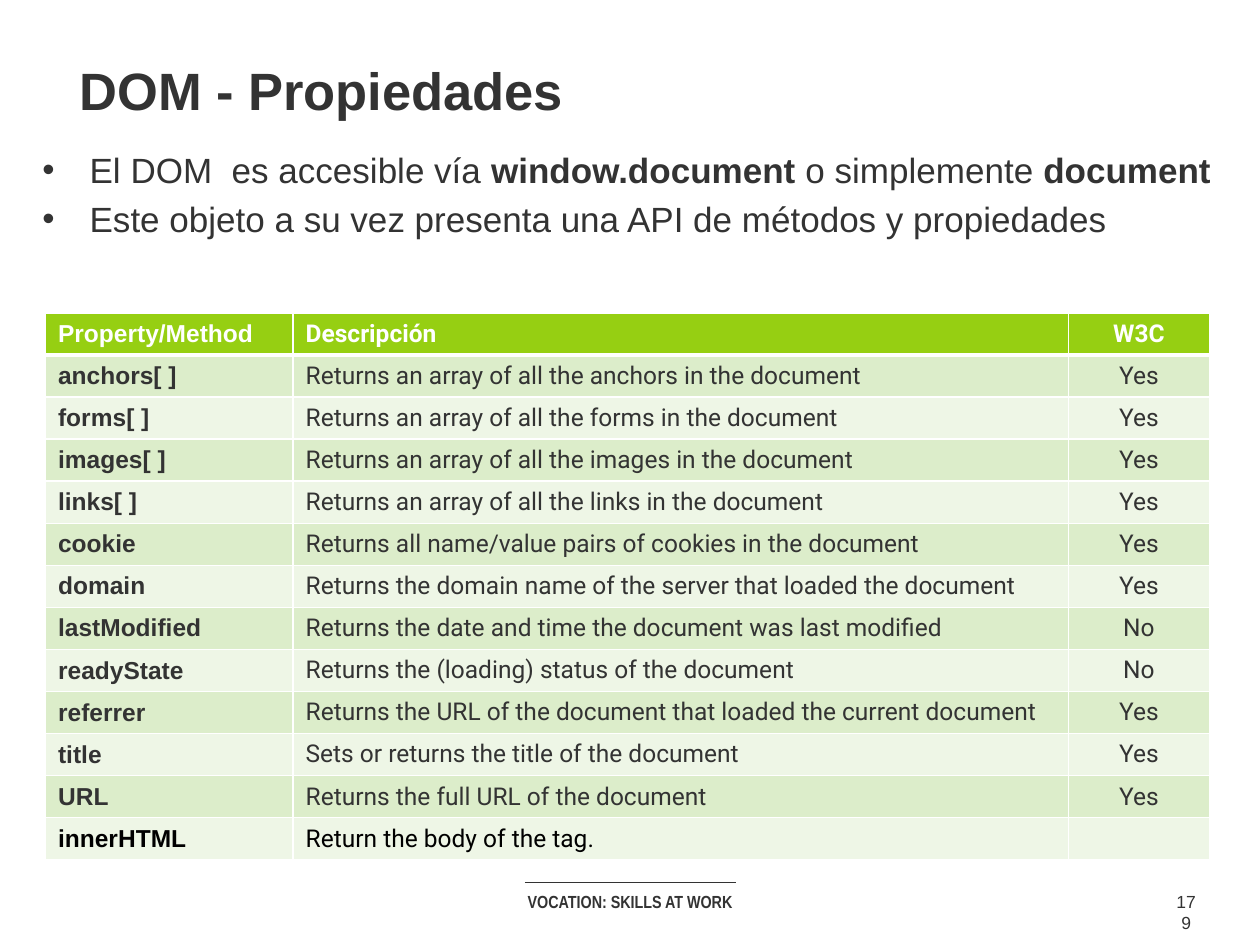
from dataclasses import dataclass
from typing import NamedTuple

from lxml.etree import SubElement
from pptx import Presentation
from pptx.dml.color import RGBColor
from pptx.enum.shapes import MSO_CONNECTOR
from pptx.enum.text import MSO_ANCHOR, MSO_AUTO_SIZE, PP_ALIGN
from pptx.oxml.ns import qn
from pptx.util import Pt


@dataclass(frozen=True)
class Theme:
    text: str = "333333"
    black: str = "000000"
    white: str = "FFFFFF"
    header: str = "96CF12"
    bands: tuple[str, str] = ("DCEDCA", "EEF6E6")
    title_size: int = 30
    body_size: int = 20
    table_size: int = 14
    footer_size: int = 10
    main_font: str = "Arial"
    table_font: str = "Roboto"
    footer_font: str = "Arial Narrow"


class Box(NamedTuple):
    left: float
    top: float
    width: float
    height: float


class Property(NamedTuple):
    name: str
    description: str
    standard: str


THEME = Theme()
HEADINGS = Property("Property/Method", "Descripción", "W3C")
PROPERTIES = [
    Property("anchors[ ]", "Returns an array of all the anchors in the document", "Yes"),
    Property("forms[ ]", "Returns an array of all the forms in the document", "Yes"),
    Property("images[ ]", "Returns an array of all the images in the document", "Yes"),
    Property("links[ ]", "Returns an array of all the links in the document", "Yes"),
    Property("cookie", "Returns all name/value pairs of cookies in the document", "Yes"),
    Property("domain", "Returns the domain name of the server that loaded the document", "Yes"),
    Property("lastModified", "Returns the date and time the document was last modified", "No"),
    Property("readyState", "Returns the (loading) status of the document", "No"),
    Property("referrer", "Returns the URL of the document that loaded the current document", "Yes"),
    Property("title", "Sets or returns the title of the document", "Yes"),
    Property("URL", "Returns the full URL of the document", "Yes"),
    Property("innerHTML", "Return the body of the tag.", ""),
]
BULLETS = [
    [
        ("El DOM  es accesible vía ", False),
        ("window.document ", True),
        ("o simplemente ", False),
        ("document", True),
    ],
    [("Este objeto a su vez presenta una API de métodos y propiedades", False)],
]
COLUMN_WIDTHS = (141.5, 443, 80.7)
ROW_HEIGHT = 24
BULLET_INDENT = 27


def style(paragraph, font_name: str, size: int, color: str, bold: bool = False) -> None:
    font = paragraph.font
    font.name, font.size, font.bold = font_name, Pt(size), bold
    font.color.rgb = RGBColor.from_string(color)


def place(shape, box: Box) -> None:
    shape.left, shape.top, shape.width, shape.height = map(Pt, box)


def add_title(slide, box: Box, text: str) -> None:
    title = slide.shapes.title
    place(title, box)
    frame = title.text_frame
    frame.text = text
    frame.auto_size = MSO_AUTO_SIZE.NONE
    frame.vertical_anchor = MSO_ANCHOR.MIDDLE
    paragraph = frame.paragraphs[0]
    paragraph.alignment = PP_ALIGN.LEFT
    style(paragraph, THEME.main_font, THEME.title_size, THEME.text, True)


def add_bullet(paragraph) -> None:
    properties = paragraph._p.get_or_add_pPr()
    properties.set("marL", str(Pt(BULLET_INDENT)))
    properties.set("indent", str(-Pt(BULLET_INDENT)))
    color = SubElement(properties, qn("a:buClr"))
    SubElement(color, qn("a:srgbClr"), val=THEME.text)
    SubElement(properties, qn("a:buFont"), typeface=THEME.main_font)
    SubElement(properties, qn("a:buChar"), char="•")


def add_bullets(slide, box: Box) -> None:
    body = slide.placeholders[1]
    place(body, box)
    frame = body.text_frame
    frame.auto_size = MSO_AUTO_SIZE.NONE
    for index, parts in enumerate(BULLETS):
        paragraph = frame.add_paragraph() if index else frame.paragraphs[0]
        add_bullet(paragraph)
        paragraph.space_before = Pt(4 if index else 0)
        style(paragraph, THEME.main_font, THEME.body_size, THEME.text)
        for text, bold in parts:
            run = paragraph.add_run()
            run.text = text
            run.font.bold = bold


def set_borders(cell, top: float, bottom: float) -> None:
    properties = cell._tc.get_or_add_tcPr()
    widths = {"a:lnL": 1, "a:lnR": 1, "a:lnT": top, "a:lnB": bottom}
    for tag, width in widths.items():
        line = SubElement(properties, qn(tag), w=str(Pt(width)))
        fill = SubElement(line, qn("a:solidFill"))
        SubElement(fill, qn("a:srgbClr"), val=THEME.white)


def fill_cell(cell, text: str, row: int, column: int) -> None:
    is_header = row == 0
    set_borders(cell, top=3 if row == 1 else 1, bottom=3 if is_header else 1)
    cell.fill.solid()
    background = THEME.header if is_header else THEME.bands[(row - 1) % 2]
    cell.fill.fore_color.rgb = RGBColor.from_string(background)
    cell.vertical_anchor = MSO_ANCHOR.MIDDLE
    paragraph = cell.text_frame.paragraphs[0]
    if not text:
        SubElement(paragraph._p, qn("a:endParaRPr"), sz=str(THEME.table_size * 100))
        return
    paragraph.add_run().text = text
    paragraph.alignment = PP_ALIGN.CENTER if column == 2 else PP_ALIGN.LEFT
    color = THEME.text
    if is_header:
        color = THEME.white
    elif row == len(PROPERTIES):
        color = THEME.black
    font_name = THEME.table_font if column else THEME.main_font
    style(paragraph, font_name, THEME.table_size, color, is_header or column == 0)


def add_property_table(slide, left: float, top: float) -> None:
    rows = [HEADINGS, *PROPERTIES]
    box = Box(left, top, sum(COLUMN_WIDTHS), ROW_HEIGHT * len(rows))
    table = slide.shapes.add_table(len(rows), len(HEADINGS), *map(Pt, box)).table
    for column, width in zip(table.columns, COLUMN_WIDTHS):
        column.width = Pt(width)
    for row_index, row in enumerate(rows):
        table.rows[row_index].height = Pt(ROW_HEIGHT)
        for column_index, text in enumerate(row):
            fill_cell(table.cell(row_index, column_index), text, row_index, column_index)


def add_footer_text(slide, box: Box, text: str, font_name: str, bold: bool) -> None:
    frame = slide.shapes.add_textbox(*map(Pt, box)).text_frame
    frame.word_wrap = True
    frame.text = text
    paragraph = frame.paragraphs[0]
    paragraph.alignment = PP_ALIGN.CENTER
    style(paragraph, font_name, THEME.footer_size, THEME.text, bold)


def add_footer_line(slide, left: float, right: float, top: float) -> None:
    line = slide.shapes.add_connector(
        MSO_CONNECTOR.STRAIGHT, Pt(left), Pt(top), Pt(right), Pt(top)
    )
    line.line.color.rgb = RGBColor.from_string(THEME.text)
    line.line.width = Pt(0.75)
    SubElement(line._element.spPr, qn("a:effectLst"))


def main() -> None:
    presentation = Presentation()
    presentation.slide_width, presentation.slide_height = Pt(720), Pt(540)
    slide = presentation.slides.add_slide(presentation.slide_layouts[1])
    add_footer_text(
        slide, Box(264, 505.5, 192, 19.5), "VOCATION: SKILLS AT WORK", THEME.footer_font, True
    )
    add_footer_line(slide, 300, 420.5, 504.5)
    add_footer_text(slide, Box(664.5, 505.5, 26.6, 19.5), "179", THEME.main_font, False)
    add_bullets(slide, Box(17, 81.4, 688.3, 60.5))
    add_property_table(slide, 26, 178.8)
    add_title(slide, Box(38.2, 29.5, 622.8, 43.2), "DOM - Propiedades")
    presentation.save("out.pptx")


if __name__ == "__main__":
    main()
